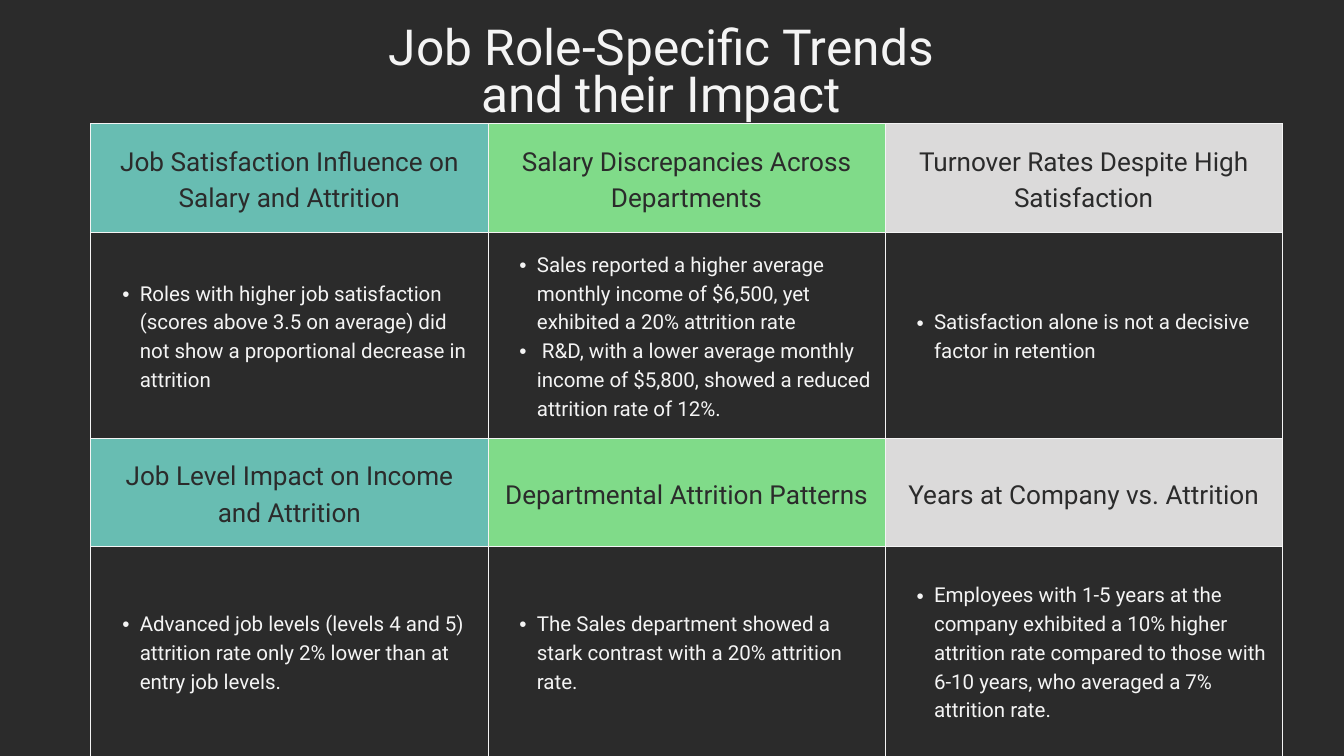
from lxml.etree import SubElement
from pptx import Presentation
from pptx.dml.color import RGBColor
from pptx.enum.text import MSO_ANCHOR as Anchor, MSO_AUTO_SIZE as AutoSize, PP_ALIGN as Align
from pptx.oxml import parse_xml
from pptx.oxml.ns import nsdecls, qn
from pptx.util import Inches, Pt

DARK = RGBColor(0x2B, 0x2B, 0x2B)
LIGHT = RGBColor(0xF4, 0xF4, 0xF4)
TEAL = RGBColor(0x68, 0xBD, 0xB2)
GREEN = RGBColor(0x80, 0xDB, 0x89)
GREY = RGBColor(0xDB, 0xDA, 0xDA)

HEADING_FILLS = [TEAL, GREEN, GREY]
ROW_HEIGHTS = [1.61, 3.07, 1.61, 3.12]

# Each band is a row of (heading, bullets) topics.
BANDS = [
    [
        ("Job Satisfaction Influence on Salary and Attrition",
         ["Roles with higher job satisfaction (scores above 3.5 on average) did not show "
          "a proportional decrease in attrition"]),
        ("Salary Discrepancies Across Departments",
         ["Sales reported a higher average monthly income of $6,500, yet exhibited "
          "a 20% attrition rate",
          " R&D, with a lower average monthly income of $5,800, showed a reduced "
          "attrition rate of 12%."]),
        ("Turnover Rates Despite High Satisfaction",
         ["Satisfaction alone is not a decisive factor in retention"]),
    ],
    [
        ("Job Level Impact on Income and Attrition",
         ["Advanced job levels (levels 4 and 5) attrition rate only 2% lower than at "
          "entry job levels."]),
        ("Departmental Attrition Patterns",
         ["The Sales department showed a stark contrast with a 20% attrition rate."]),
        ("Years at Company vs. Attrition",
         ["Employees with 1-5 years at the company exhibited a 10% higher attrition rate "
          "compared to those with 6-10 years, who averaged a 7% attrition rate."]),
    ],
]


class SlideBuilder:
    """Holds the text style and the slide being filled."""

    font_name = "Roboto"
    cell_margin = Inches(0.21)

    def __init__(self, page):
        self.page = page

    def background(self, color):
        fill = self.page.background.fill
        fill.solid()
        fill.fore_color.rgb = color

    def style(self, para, size, spacing, color):
        para.line_spacing = Pt(spacing)
        font = para.font
        font.name, font.size, font.bold = self.font_name, Pt(size), False
        font.color.rgb = color

    def title(self, text, left, top, width, height):
        box = self.page.shapes.title
        box.left, box.top = Inches(left), Inches(top)
        box.width, box.height = Inches(width), Inches(height)
        frame = box.text_frame
        frame.margin_left = frame.margin_right = frame.margin_top = frame.margin_bottom = 0
        frame.word_wrap = True
        frame.auto_size = AutoSize.SHAPE_TO_FIT_TEXT
        frame.vertical_anchor = Anchor.TOP
        frame.text = text
        para = frame.paragraphs[0]
        para.alignment = Align.CENTER
        self.style(para, 53.2, 49.5, LIGHT)

    def table(self, left, top, column_width, columns, row_heights):
        table = self.page.shapes.add_table(
            len(row_heights), columns, Inches(left), Inches(top),
            Inches(column_width * columns), Inches(sum(row_heights))).table
        table.first_row = table.horz_banding = False
        for column in table.columns:
            column.width = Inches(column_width)
        for row, height in zip(table.rows, row_heights):
            row.height = Inches(height)
        return table

    def cell(self, cell, fill):
        cell.margin_left = cell.margin_right = self.cell_margin
        cell.margin_top = cell.margin_bottom = self.cell_margin
        cell.vertical_anchor = Anchor.MIDDLE
        cell.fill.solid()
        cell.fill.fore_color.rgb = fill
        properties = cell._tc.get_or_add_tcPr()
        for index, side in enumerate("LRTB"):  # borders must precede the fill
            properties.insert(index, parse_xml(
                f'<a:ln{side} {nsdecls("a")} w="{Pt(0.75)}"><a:solidFill>'
                f'<a:srgbClr val="{LIGHT}"/></a:solidFill></a:ln{side}>'))

    def heading_cell(self, cell, text, fill):
        self.cell(cell, fill)
        cell.text = text
        para = cell.text_frame.paragraphs[0]
        para.alignment = Align.CENTER
        self.style(para, 28, 39.2, DARK)

    def bullet_cell(self, cell, bullets):
        self.cell(cell, DARK)
        cell.text = "\n".join(bullets)
        for para in cell.text_frame.paragraphs:
            para.level = 1
            para.line_spacing = Pt(30.8)
            properties = para._p.get_or_add_pPr()
            properties.set("marL", str(Inches(0.52)))
            properties.set("indent", str(Inches(-0.26)))
            SubElement(properties, qn("a:buFont"), typeface="Arial")
            SubElement(properties, qn("a:buChar"), char="•")
            self.style(para, 22, 30.8, LIGHT)


def main():
    deck = Presentation()
    deck.slide_width, deck.slide_height = Inches(20), Inches(11.25)
    title_only = deck.slide_layouts[5]
    builder = SlideBuilder(deck.slides.add_slide(title_only))

    builder.background(DARK)
    table = builder.table(1.35, 1.84, 5.91, len(HEADING_FILLS), ROW_HEIGHTS)
    for band, topics in enumerate(BANDS):
        for column, (heading, bullets) in enumerate(topics):
            builder.heading_cell(table.cell(2 * band, column), heading, HEADING_FILLS[column])
            builder.bullet_cell(table.cell(2 * band + 1, column), bullets)
    builder.title("Job Role-Specific Trends and their Impact", 5.74, 0.44, 8.2, 1.4)

    deck.save("out.pptx")


if __name__ == "__main__":
    main()
